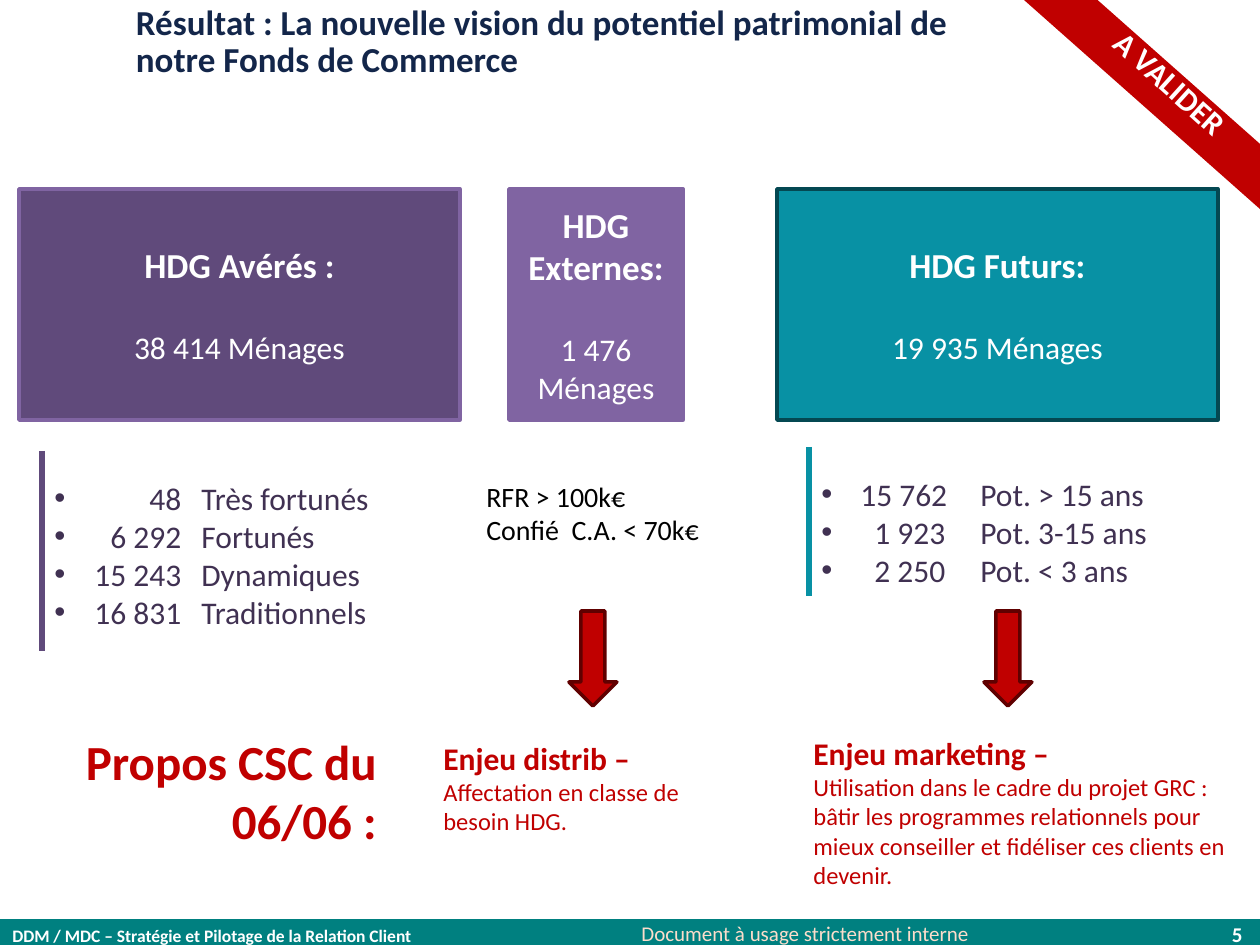
import pptx
import pptx.util
import pptx.dml.color
import pptx.enum.shapes
import pptx.enum.text
import pptx.oxml.ns
import lxml.etree

Pt = pptx.util.Pt
RGB = pptx.dml.color.RGBColor
MSO = pptx.enum.shapes.MSO_SHAPE
ALIGN = pptx.enum.text.PP_ALIGN
ANCHOR = pptx.enum.text.MSO_ANCHOR
qn = pptx.oxml.ns.qn
PX = pptx.util.Inches(1) / 126

WHITE = RGB(0xFF, 0xFF, 0xFF)
BLACK = RGB(0x00, 0x00, 0x00)
NAVY = RGB(0x13, 0x26, 0x4A)
TEAL = RGB(0x00, 0x80, 0x80)
PEACH = RGB(0xFC, 0xDD, 0xCB)
PLUM = RGB(0x60, 0x4A, 0x7B)
VIOLET = RGB(0x80, 0x64, 0xA2)
DARK_PLUM = RGB(0x40, 0x31, 0x52)
CYAN = RGB(0x08, 0x91, 0xA4)
DARK_CYAN = RGB(0x04, 0x48, 0x52)
RED = RGB(0xC0, 0x00, 0x00)
DARK_RED = RGB(0x60, 0x00, 0x00)

prs = pptx.Presentation()
prs.slide_width = round(1260 * PX)
prs.slide_height = round(945 * PX)
slide = prs.slides.add_slide(prs.slide_layouts[6])


def add_shape(kind, box, fill, line=None):
    sp = slide.shapes.add_shape(kind, *[round(v * PX) for v in box])
    sp.shadow.inherit = False
    sp.fill.solid()
    sp.fill.fore_color.rgb = fill
    if line is None:
        sp.line.fill.background()
    else:
        sp.line.color.rgb = line
        sp.line.width = Pt(2)
    return sp


def add_text(target, paragraphs, color, frame=None, para=None):
    if isinstance(target, tuple):
        target = slide.shapes.add_textbox(*[round(v * PX) for v in target])
    tf = target.text_frame
    for name, value in {"word_wrap": True, **(frame or {})}.items():
        setattr(tf, name, value)
    for i, (text, size, bold) in enumerate(paragraphs):
        p = tf.paragraphs[0] if i == 0 else tf.add_paragraph()
        for name, value in (para or {}).items():
            setattr(p, name, value)
        r = p.add_run()
        r.text = text
        r.font.color.rgb = color
        for name, value in {"name": "Calibri", "size": Pt(size), "bold": bold}.items():
            setattr(r.font, name, value)
    return target


add_shape(MSO.RECTANGLE, (-1, 919, 1261, 30), TEAL)
add_text((0, 919, 719, 34),
         [("DDM / MDC – Stratégie et Pilotage de la Relation Client", 10, True)], WHITE)
add_text((629, 914, 411, 38), [("Document à usage strictement interne", 12, False)], PEACH)
add_text((1116, 919, 139, 30), [("5", 12, True)], WHITE,
         {"vertical_anchor": ANCHOR.MIDDLE}, {"alignment": ALIGN.RIGHT})
add_text((136, -11, 872, 94),
         [("Résultat : La nouvelle vision du potentiel patrimonial de notre Fonds de Commerce",
           20, True)], NAVY,
         {"vertical_anchor": ANCHOR.BOTTOM, "margin_left": 0, "margin_right": Pt(1.5),
          "margin_bottom": Pt(1.5)}, {"line_spacing": 0.9})

cards = [
    (19, 441, PLUM, VIOLET, "HDG Avérés :", "38 414 Ménages"),
    (509, 174, VIOLET, VIOLET, "HDG Externes:", "1 476 Ménages"),
    (777, 441, CYAN, DARK_CYAN, "HDG Futurs:", "19 935 Ménages"),
]
for x, width, fill, line, title, count in cards:
    sp = add_shape(MSO.RECTANGLE, (x, 189, width, 231), fill, line)
    add_text(sp, [(title, 20, True), (count, 18, False)], WHITE,
             {"vertical_anchor": ANCHOR.MIDDLE}, {"alignment": ALIGN.CENTER})
    sp.text_frame.paragraphs[0].space_after = Pt(24)

lists = [
    (42, 451, 651, 473, 357, PLUM, (127, 147),
     [("48", "Très fortunés"), ("6 292", "Fortunés"),
      ("15 243", "Dynamiques"), ("16 831", "Traditionnels")]),
    (809, 447, 596, 469, 378, CYAN, (124, 159),
     [("15 762", "Pot. > 15 ans"), ("1 923", "Pot. 3-15 ans"), ("2 250", "Pot. < 3 ans")]),
]
for x, top, bottom, y, width, color, tabs, rows in lists:
    rule = slide.shapes.add_connector(
        pptx.enum.shapes.MSO_CONNECTOR.STRAIGHT,
        *[round(v * PX) for v in (x, top, x, bottom)])
    rule.line.color.rgb = color
    rule.line.width = Pt(3)
    lxml.etree.SubElement(rule._element.spPr, qn("a:effectLst"))
    sp = add_text((x, y, width, 38 * len(rows) + 13),
                  [(f"\t{number}\t{label}", 18, False) for number, label in rows], DARK_PLUM)
    for p in sp.text_frame.paragraphs:
        pPr = p._p.get_or_add_pPr()
        pPr.set("marL", str(round(39 * PX)))
        pPr.set("indent", str(round(-39 * PX)))
        lxml.etree.SubElement(pPr, qn("a:buFont"), typeface="Arial")
        lxml.etree.SubElement(pPr, qn("a:buChar"), char="•")
        tabLst = lxml.etree.SubElement(pPr, qn("a:tabLst"))
        for pos, algn in zip(tabs, ("r", "l")):
            lxml.etree.SubElement(tabLst, qn("a:tab"), pos=str(round(pos * PX)), algn=algn)

add_text((474, 473, 251, 81),
         [("RFR > 100k€", 16, False), ("Confié  C.A. < 70k€", 16, False)], BLACK)
add_text((19, 725, 370, 131), [("Propos CSC du 06/06 :", 28, True)], RED,
         para={"alignment": ALIGN.RIGHT})
add_text((431, 733, 294, 111),
         [("Enjeu distrib –", 18, True), ("Affectation en classe de besoin HDG.", 14, False)], RED)
add_text((801, 728, 449, 170),
         [("Enjeu marketing –", 18, True),
          ("Utilisation dans le cadre du projet GRC : bâtir les programmes relationnels pour "
           "mieux conseiller et fidéliser ces clients en devenir.", 14, False)], RED)

stripe = add_shape(MSO.DIAGONAL_STRIPE, (1037, -14, 210, 237), RED)
stripe.adjustments[0] = 0.69
stripe.rotation = 90
margin = Pt(7.2)
sp = add_text((1036, 67, 253, 49), [("A VALIDER", 18, True)], WHITE,
              {"margin_top": margin, "margin_bottom": margin},
              {"alignment": ALIGN.CENTER, "line_spacing": Pt(12)})
sp.rotation = 42.1

for x in (569, 984):
    add_shape(MSO.DOWN_ARROW, (x, 611, 48, 95), RED, DARK_RED)

prs.save("out.pptx")
